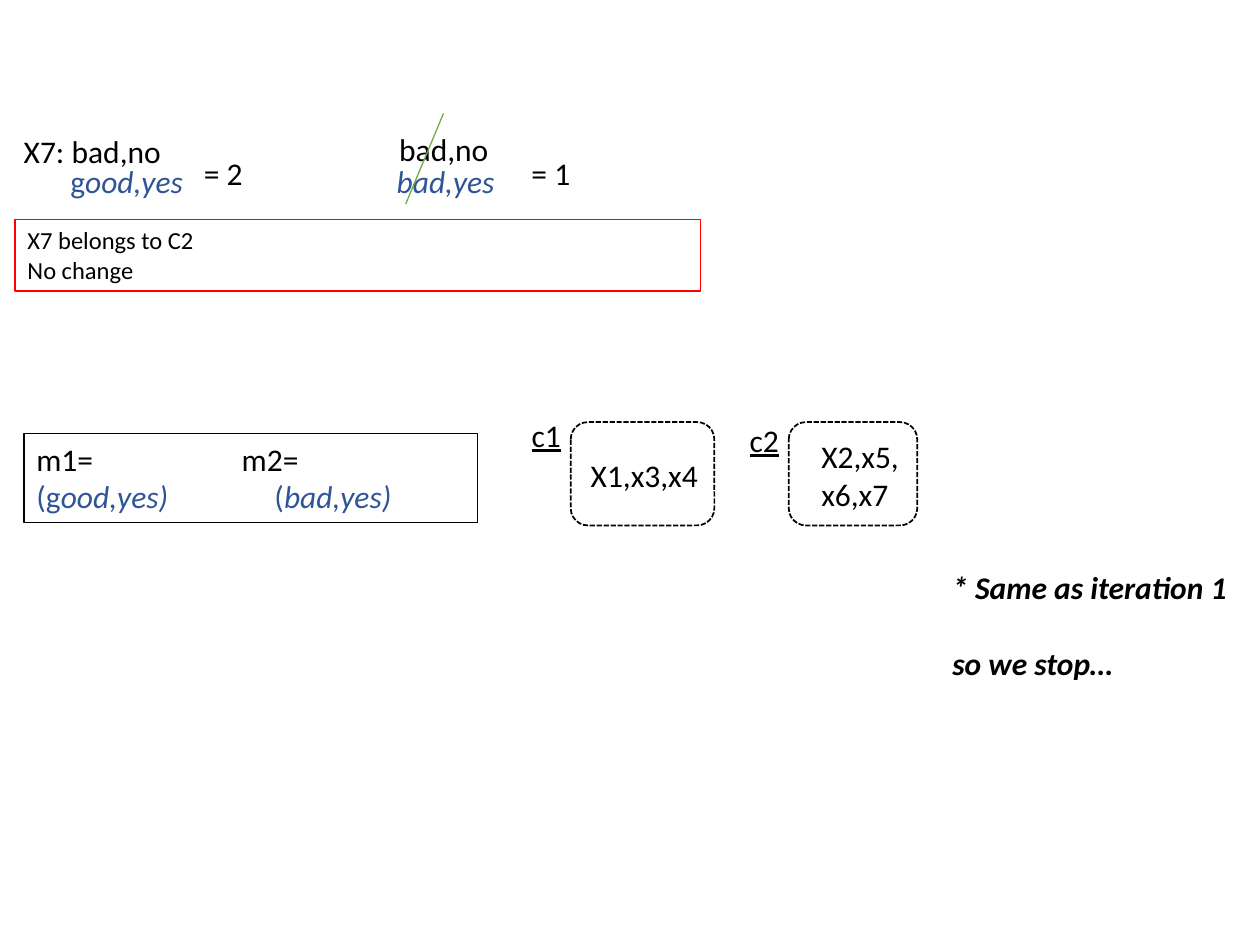
import pptx
import pptx.util
import pptx.dml.color
import pptx.enum.dml
import pptx.enum.shapes
import pptx.enum.text
import pptx.oxml
import pptx.oxml.ns
import lxml.etree

Inches = pptx.util.Inches
Pt = pptx.util.Pt
RGBColor = pptx.dml.color.RGBColor
Shapes = pptx.enum.shapes.MSO_SHAPE

BLACK = RGBColor(0x00, 0x00, 0x00)
WHITE = RGBColor(0xFF, 0xFF, 0xFF)
BLUE = RGBColor(0x2F, 0x55, 0x97)
GREEN = RGBColor(0x70, 0xAD, 0x47)
RED = RGBColor(0xFF, 0x00, 0x00)


def add_span(para, text, color=BLACK, size=18, bold=False, italic=False, underline=False):
    span = para.add_run()
    span.text = text
    font = span.font
    font.name = "Calibri"
    font.size = Pt(size)
    font.color.rgb = color
    font.bold = bold
    font.italic = italic
    font.underline = underline


def add_tab_stop(para, position):
    properties = para._p.get_or_add_pPr()
    stops = lxml.etree.SubElement(properties, pptx.oxml.ns.qn("a:tabLst"))
    stop = lxml.etree.SubElement(stops, pptx.oxml.ns.qn("a:tab"))
    stop.set("pos", str(int(position)))
    stop.set("algn", "l")


def prepare_frame(shape, wrap=True):
    frame = shape.text_frame
    frame.word_wrap = wrap
    frame.vertical_anchor = pptx.enum.text.MSO_ANCHOR.TOP
    frame.paragraphs[0].alignment = pptx.enum.text.PP_ALIGN.LEFT
    return frame


def add_paragraph(frame):
    para = frame.add_paragraph()
    para.alignment = pptx.enum.text.PP_ALIGN.LEFT
    return para


def add_label(slide, left, top, width, text, height=0.4, wrap=True, **style):
    box = slide.shapes.add_textbox(Inches(left), Inches(top), Inches(width), Inches(height))
    frame = prepare_frame(box, wrap)
    add_span(frame.paragraphs[0], text, **style)
    return frame


def add_outline(slide, kind, left, top, width, height, color=BLACK, weight=0.75):
    shape = slide.shapes.add_shape(kind, Inches(left), Inches(top), Inches(width), Inches(height))
    shape.shadow.inherit = False
    shape.fill.background()
    shape.line.color.rgb = color
    shape.line.width = Pt(weight)
    return shape


def add_cluster(slide, left, width):
    cluster = add_outline(slide, Shapes.ROUNDED_RECTANGLE, left, 3.35, width, 0.82, weight=1)
    cluster.fill.solid()
    cluster.fill.fore_color.rgb = WHITE
    cluster.line.dash_style = pptx.enum.dml.MSO_LINE.SQUARE_DOT


def add_strike(slide):
    strike = slide.shapes.add_connector(
        pptx.enum.shapes.MSO_CONNECTOR.STRAIGHT,
        Inches(3.52), Inches(0.9), Inches(3.22), Inches(1.62))
    strike.line.color.rgb = GREEN
    strike.line.width = Pt(0.75)
    lxml.etree.SubElement(strike._element.spPr, pptx.oxml.ns.qn("a:effectLst"))


def add_distances(slide):
    good = add_label(slide, 0.46, 1.24, 1.12, "g", wrap=False, color=BLUE)
    add_span(good.paragraphs[0], "ood,yes", BLUE, italic=True)
    add_label(slide, 1.52, 1.17, 0.74, "= 2")
    add_label(slide, 0.47, 1, 0.92, "bad,no", wrap=False)
    add_label(slide, 0.09, 1, 0.53, "X7:", wrap=False)
    add_label(slide, 3.07, 0.98, 0.92, "bad,no", wrap=False)
    add_label(slide, 3.05, 1.24, 0.99, "bad,yes", wrap=False, color=BLUE, italic=True)
    add_label(slide, 4.12, 1.17, 0.74, "= 1")
    add_strike(slide)


def add_modes(slide):
    frame = prepare_frame(add_outline(slide, Shapes.RECTANGLE, 0.19, 3.44, 3.6, 0.71))
    names = frame.paragraphs[0]
    add_tab_stop(names, Inches(1.63))
    add_span(names, "m1=\tm2=")
    values = add_paragraph(frame)
    add_tab_stop(values, Inches(1.89))
    add_span(values, "(g", BLUE)
    add_span(values, "ood,yes)", BLUE, italic=True)
    add_span(values, "\t(", BLUE)
    add_span(values, "bad,yes)", BLUE, italic=True)


def add_clusters(slide):
    add_cluster(slide, 4.53, 1.14)
    add_cluster(slide, 6.26, 1.02)
    add_label(slide, 4.12, 3.25, 0.58, "c1", underline=True)
    add_label(slide, 5.85, 3.29, 0.58, "c2", underline=True)
    add_label(slide, 4.59, 3.57, 1.06, "X1,x3,x4", wrap=False)
    add_label(slide, 6.42, 3.42, 0.9, "X2,x5,x6,x7", height=0.71)


def add_conclusion(slide):
    frame = add_label(slide, 7.46, 4.46, 2.43, "* Same as iteration 1",
                      height=0.71, bold=True, italic=True)
    para = add_paragraph(frame)
    para.space_before = Pt(22)
    add_span(para, "so we stop…", bold=True, italic=True)


def add_assignment(slide):
    frame = prepare_frame(add_outline(slide, Shapes.RECTANGLE, 0.12, 1.74, 5.44, 0.57, RED))
    add_span(frame.paragraphs[0], "X7 belongs to C2", size=14)
    add_span(add_paragraph(frame), "No change", size=14)


def main():
    deck = pptx.Presentation()
    deck.slide_width = Inches(10)
    deck.slide_height = Inches(7.5)
    slide = deck.slides.add_slide(deck.slide_layouts[6])
    add_distances(slide)
    add_modes(slide)
    add_clusters(slide)
    add_conclusion(slide)
    add_assignment(slide)
    deck.save("out.pptx")


if __name__ == "__main__":
    main()
